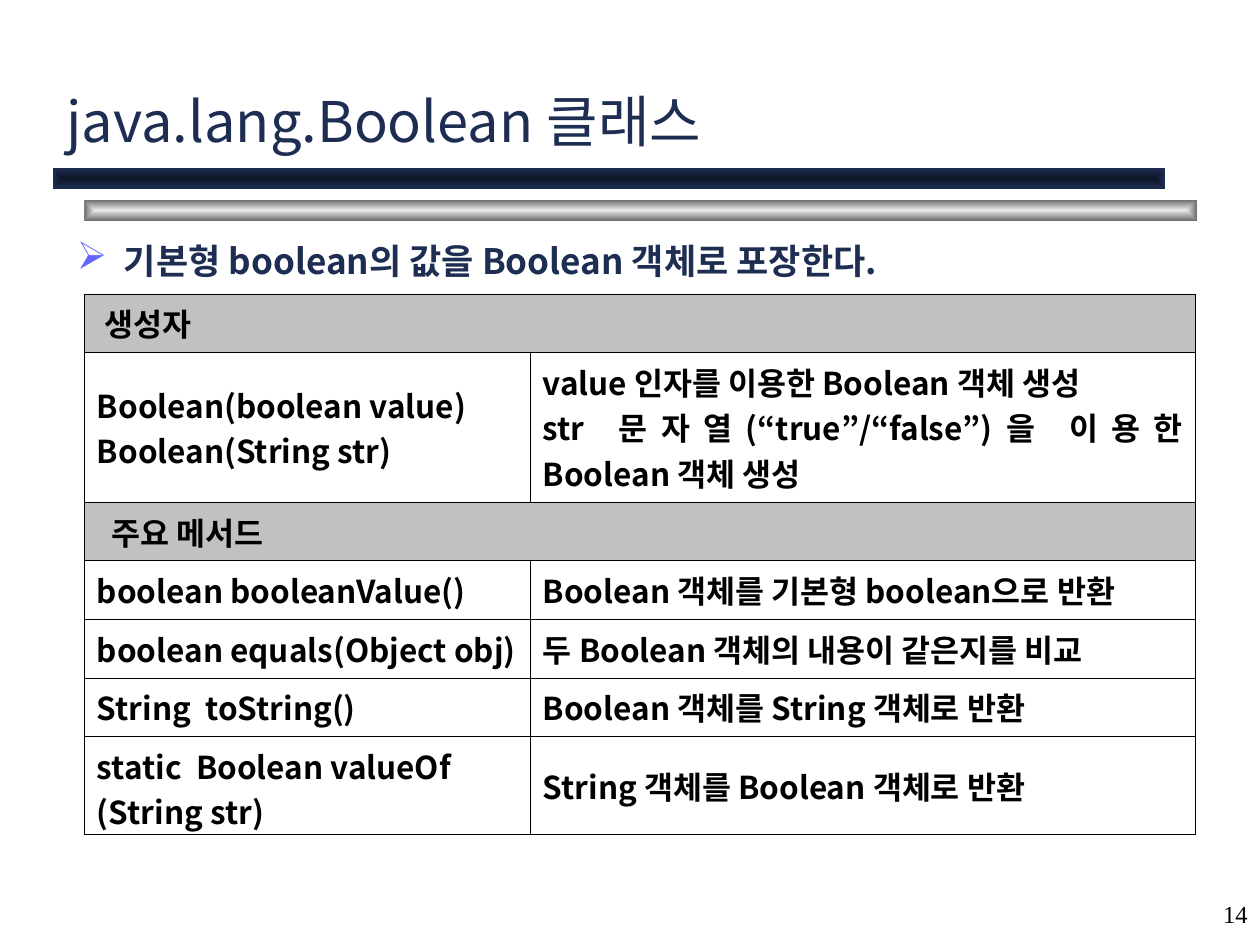
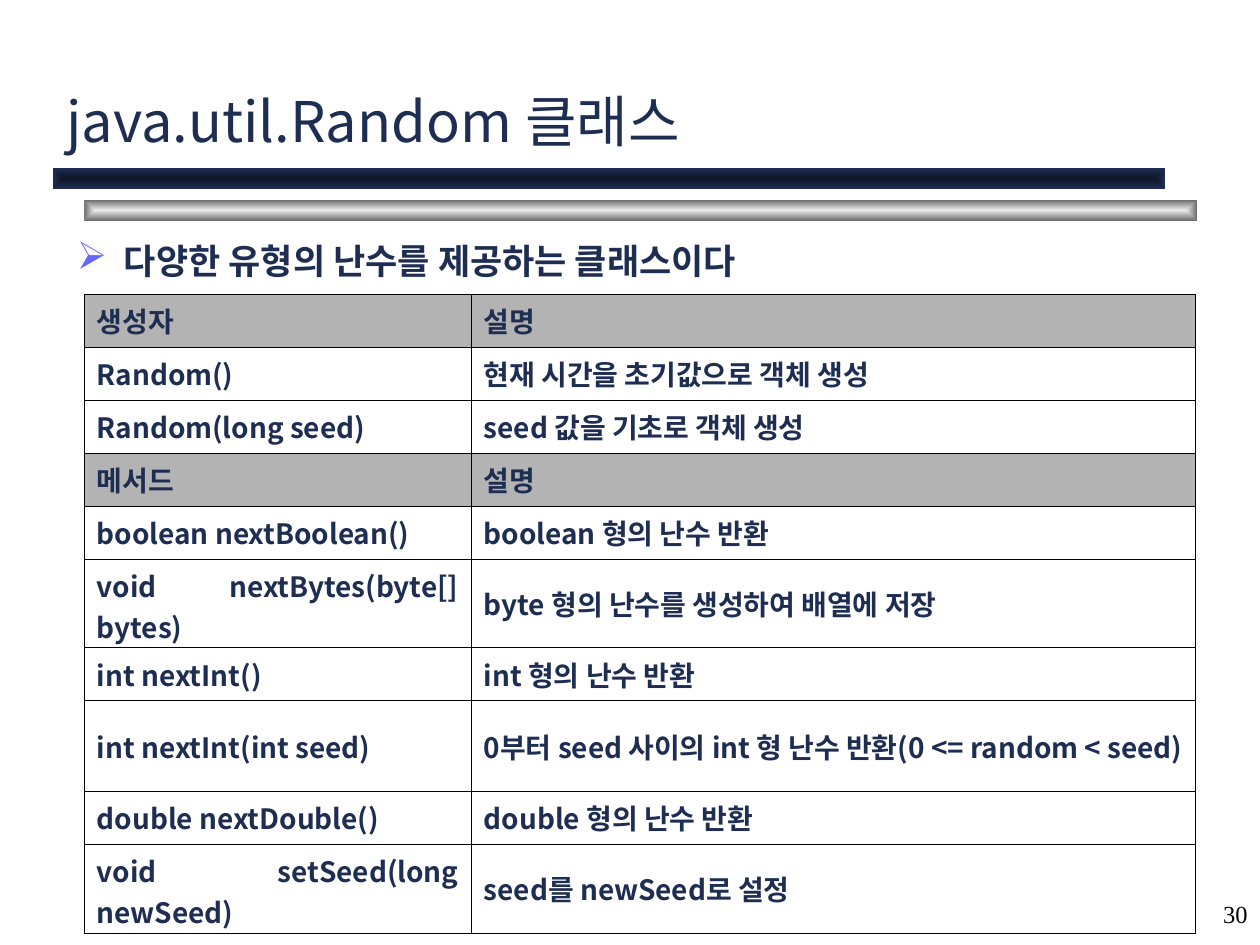
from lxml import etree
from pptx import Presentation
from pptx import util as u
from pptx.dml.color import RGBColor
from pptx.enum import shapes, text
from pptx.oxml import ns

SANS, SERIF = "Noto Sans CJK KR", "Times New Roman"
NAVY, BLACK, BULLET = "1E2E53", "000000", "6666FF"
BANDS = [  # left, top, centre colour, edge colour
    (1.7, 4.03, "EAEAEA", "6C6C6C"),
    (1.06, 3.39, "0E1526", NAVY),
]
BAND_SIZE = (22.43, 0.42)
TABLE_LEFT, TABLE_TOP = 1.7, 5.92

BOOLEAN = {
    "number": "14",
    "title": "java.lang.Boolean 클래스",
    "summary": "기본형 boolean의 값을 Boolean 객체로 포장한다.",
    "summary_height": 12.24,
    "columns": [8.99, 13.41],
    "heights": [1.18, 3.02, 1.18, 1.18, 1.18, 1.18, 1.98],
    "headings": {0, 2},
    "style": {"size": 18, "color": BLACK, "heading_fill": "C1C1C1"},
    "rows": [
        ["\u00a0생성자"],
        ["Boolean(boolean value)\nBoolean(String str)",
         "value 인자를 이용한 Boolean 객체 생성\n"
         "str 문자열(“true”/“false”)을 이용한 Boolean 객체 생성"],
        ["\u00a0 주요 메서드"],
        ["boolean booleanValue()", "Boolean 객체를 기본형 boolean으로 반환"],
        ["boolean equals(Object obj)", "두 Boolean 객체의 내용이 같은지를 비교"],
        ["String  toString()", "Boolean 객체를 String 객체로 반환"],
        ["static  Boolean valueOf\n(String str)", "String 객체를 Boolean 객체로 반환"],
    ],
}

RANDOM = {
    "number": "30",
    "title": "java.util.Random 클래스",
    "summary": "다양한 유형의 난수를 제공하는 클래스이다",
    "summary_height": 1.63,
    "columns": [7.8, 14.6],
    "heights": [1.07] * 5 + [1.78, 1.07, 1.83, 1.07, 1.78],
    "headings": {0, 3},
    "style": {"size": 16, "color": NAVY, "heading_fill": "B3B3B3"},
    "rows": [
        ["생성자", "설명"],
        ["Random()", "현재 시간을 초기값으로 객체 생성"],
        ["Random(long seed)", "seed 값을 기초로 객체 생성"],
        ["메서드", "설명"],
        ["boolean nextBoolean()", "boolean 형의 난수 반환"],
        ["void nextBytes(byte[] bytes)", "byte 형의 난수를 생성하여 배열에 저장"],
        ["int nextInt()", "int 형의 난수 반환"],
        ["int nextInt(int seed)",
         "0부터 seed 사이의 int 형 난수 반환(0 <= random < seed)"],
        ["double nextDouble()", "double 형의 난수 반환"],
        ["void setSeed(long newSeed)", "seed를 newSeed로 설정"],
    ],
}


def rgb(value):
    """Turn a hex string into a colour."""
    return RGBColor.from_string(value)


def add_xml(parent, tag, **attributes):
    """Append a drawing element to its parent."""
    return etree.SubElement(parent, ns.qn(tag), attributes)


def style_paragraph(paragraph, size, color, bold=False, face=SANS):
    """Set the font of a paragraph, for Latin and Korean letters."""
    font = paragraph.font
    font.size, font.bold, font.name = u.Pt(size), bold, face
    font.color.rgb = rgb(color)
    defaults = paragraph._p.pPr.find(ns.qn("a:defRPr"))
    add_xml(defaults, "a:ea", typeface=face)


def add_text(page, content, left, top, width, height,
             anchor=text.MSO_ANCHOR.TOP):
    """Add a one-paragraph text box and return its paragraph."""
    box = page.shapes.add_textbox(*map(u.Cm, (left, top, width, height)))
    box.text_frame.word_wrap = True
    box.text_frame.vertical_anchor = anchor
    para = box.text_frame.paragraphs[0]
    para.text = content
    return para


def add_band(page, left, top, centre, edge):
    """Add a bar shaded from its centre to all four edges."""
    band = page.shapes.add_shape(shapes.MSO_SHAPE.RECTANGLE,
                                 *map(u.Cm, (left, top, *BAND_SIZE)))
    band.shadow.inherit = False
    band.line.fill.background()
    band.fill.gradient()
    for stop, color in zip(band.fill.gradient_stops, (centre, edge)):
        stop.color.rgb = rgb(color)
    gradient = band._element.spPr.find(ns.qn("a:gradFill"))
    gradient.remove(gradient.find(ns.qn("a:lin")))
    shading = add_xml(gradient, "a:path", path="rect")
    add_xml(shading, "a:fillToRect", l="50000", t="50000", r="50000", b="50000")


def add_frame(page, number, title):
    """Add the bands, page number and title that all slides share."""
    for band in BANDS:
        add_band(page, *band)
    para = add_text(page, number, 20.12, 17.78, 5.28, 1.27,
                    text.MSO_ANCHOR.MIDDLE)
    para.alignment = text.PP_ALIGN.RIGHT
    style_paragraph(para, 14, BLACK, face=SERIF)
    para = add_text(page, title, 1.09, 1.52, 22.4, 1.7, text.MSO_ANCHOR.BOTTOM)
    style_paragraph(para, 32, NAVY)


def add_summary(page, content, height):
    """Add the bold summary line with its arrow bullet."""
    para = add_text(page, content, 1.3, 4.7, 22.8, height)
    para.space_before = u.Pt(5)
    props = para._p.get_or_add_pPr()
    indent = u.Cm(0.95)
    props.set("marL", str(indent))
    props.set("indent", str(-indent))
    add_xml(add_xml(props, "a:buClr"), "a:srgbClr", val=BULLET)
    add_xml(props, "a:buSzPct", val="110000")
    add_xml(props, "a:buChar", char="➢")
    style_paragraph(para, 20, NAVY, bold=True)


def format_cell(cell, fill):
    """Give a cell hairline borders and a fill, or none."""
    props = cell._tc.get_or_add_tcPr()
    for side in ("a:lnL", "a:lnR", "a:lnT", "a:lnB"):
        line = add_xml(props, side, w="762")
        add_xml(add_xml(line, "a:solidFill"), "a:srgbClr", val=BLACK)
    cell.vertical_anchor = text.MSO_ANCHOR.MIDDLE
    if fill:
        cell.fill.solid()
        cell.fill.fore_color.rgb = rgb(fill)
    else:
        cell.fill.background()


def add_class_table(page, rows, columns, heights, headings, style):
    """Add the table of members; a row with one text spans all columns."""
    frame = page.shapes.add_table(
        len(rows), len(columns), u.Cm(TABLE_LEFT), u.Cm(TABLE_TOP),
        u.Cm(sum(columns)), u.Cm(sum(heights)))
    table = frame.table
    table.first_row = table.horz_banding = False
    for column, width in zip(table.columns, columns):
        column.width = u.Cm(width)
    for index, (row, height, words) in enumerate(
            zip(table.rows, heights, rows)):
        row.height = u.Cm(height)
        fill = style["heading_fill"] if index in headings else None
        for cell in row.cells:
            format_cell(cell, fill)
        for cell, content in zip(row.cells, words):
            cell.text = content
            for para in cell.text_frame.paragraphs:
                para.alignment = text.PP_ALIGN.JUSTIFY
                style_paragraph(para, style["size"], style["color"], bold=True)
        if len(words) == 1:
            table.cell(index, 0).merge(table.cell(index, len(columns) - 1))


def main():
    """Build the deck."""
    deck = Presentation()
    deck.slide_width, deck.slide_height = u.Cm(25.4), u.Cm(19.05)
    for topic in (BOOLEAN, RANDOM):
        page = deck.slides.add_slide(deck.slide_layouts[6])
        add_frame(page, topic["number"], topic["title"])
        add_summary(page, topic["summary"], topic["summary_height"])
        add_class_table(page, topic["rows"], topic["columns"],
                        topic["heights"], topic["headings"], topic["style"])
    deck.save("out.pptx")


main()
